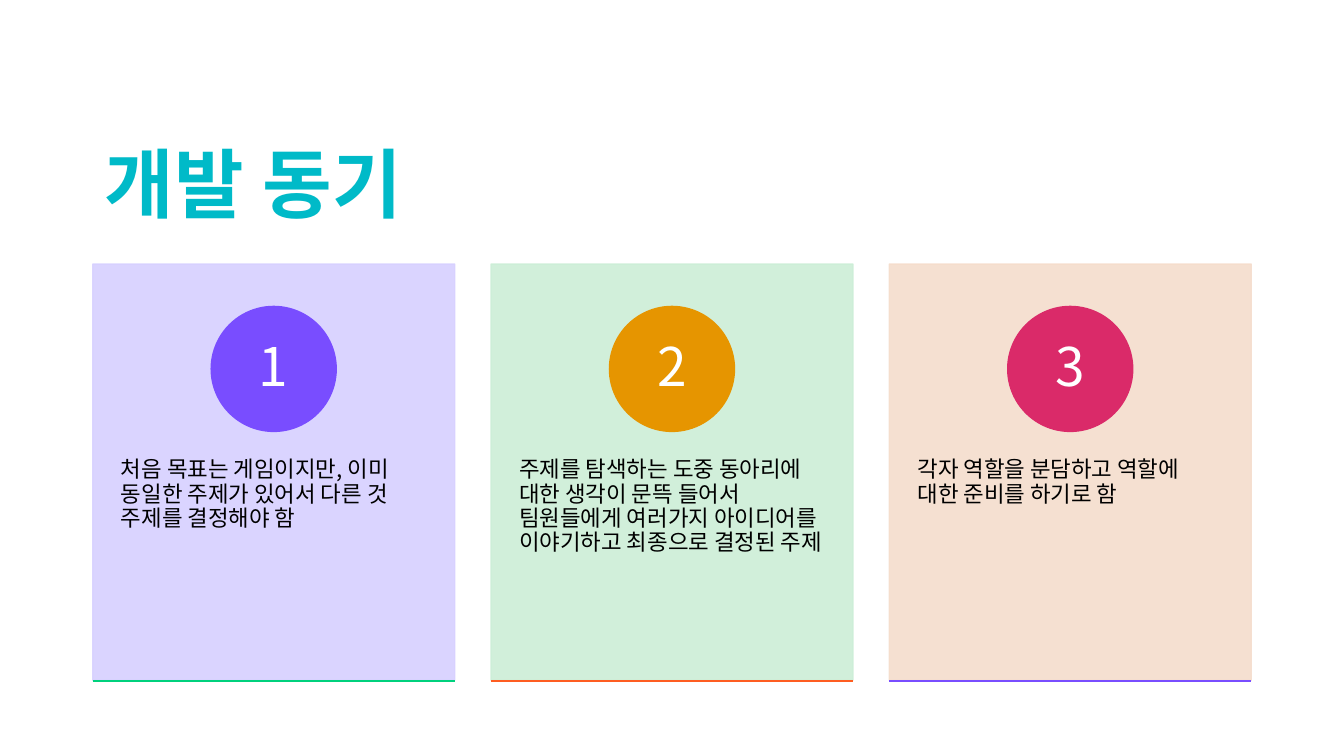
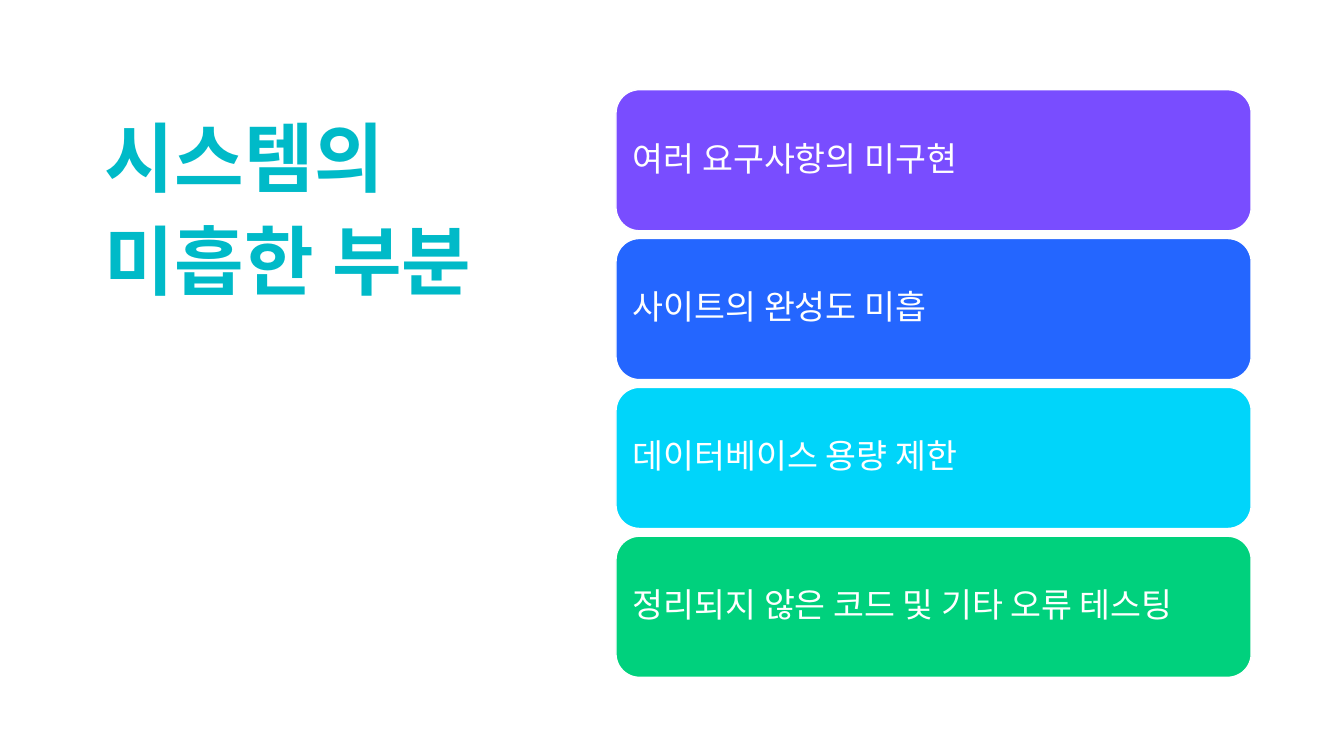
from pptx import Presentation
from pptx.dml.color import RGBColor
from pptx.enum import shapes, text
from pptx.oxml.ns import qn
from pptx.util import Inches, Pt
from lxml import etree

TEAL = RGBColor(0x00, 0xBA, 0xC8)
WHITE = RGBColor(0xFF, 0xFF, 0xFF)
BLACK = RGBColor(0x00, 0x00, 0x00)
PURPLE = RGBColor(0x79, 0x4D, 0xFF)
BLUE = RGBColor(0x24, 0x66, 0xFF)
CYAN = RGBColor(0x00, 0xD5, 0xFA)
GREEN = RGBColor(0x00, 0xD1, 0x7D)
ORANGE = RGBColor(0xFE, 0x5D, 0x21)
AMBER = RGBColor(0xE6, 0x95, 0x00)
PINK = RGBColor(0xDA, 0x2A, 0x69)
LAVENDER = RGBColor(0xD7, 0xD0, 0xFF)
MINT = RGBColor(0xCC, 0xEE, 0xD7)
PEACH = RGBColor(0xF5, 0xDD, 0xCC)

TITLE_FONT = "Calibri"
BODY_FONT = "Noto Sans CJK KR"
LEFT = 0.92

REASONS = [
    ("처음 목표는 게임이지만, 이미 동일한 주제가 있어서 다른 것 주제를 결정해야 함",
     LAVENDER, PURPLE, GREEN),
    ("주제를 탐색하는 도중 동아리에 대한 생각이 문뜩 들어서 팀원들에게 여러가지 "
     "아이디어를 이야기하고 최종으로 결정된 주제", MINT, AMBER, ORANGE),
    ("각자 역할을 분담하고 역할에 대한 준비를 하기로 함", PEACH, PINK, PURPLE),
]
CARD_TOP, CARD_WIDTH, CARD_HEIGHT, CARD_PITCH = 2.62, 3.59, 4.13, 3.95
CIRCLE_TOP, CIRCLE_SIZE = 3.04, 1.24

SHORTCOMINGS = [
    ("여러 요구사항의 미구현", PURPLE),
    ("사이트의 완성도 미흡", BLUE),
    ("데이터베이스 용량 제한", CYAN),
    ("정리되지 않은 코드 및 기타 오류 테스팅", GREEN),
]
BAR_LEFT, BAR_WIDTH, BAR_HEIGHT = 6.11, 6.3, 1.4
BARS_TOP, BARS_BOTTOM = 0.89, 6.72


class Deck:
    """Holds the presentation, its style and the slide being filled."""

    def __init__(self):
        self.deck = Presentation()
        self.deck.slide_width = Inches(13.33)
        self.deck.slide_height = Inches(7.5)
        self.page = None

    def add_page(self, title, top, width, height, anchor):
        self.page = self.deck.slides.add_slide(self.deck.slide_layouts[5])
        box = self.page.shapes.title
        box.left, box.top = Inches(LEFT), Inches(top)
        box.width, box.height = Inches(width), Inches(height)
        para = self.set_text(box, title, 54, TEAL, (0.12, 0.12, 0.12, 0.1),
                             anchor, font=TITLE_FONT, spacing=1.14)
        para.font.bold = True
        para.font._element.set("spc", "30")

    def set_text(self, shape, words, size, color, insets, anchor,
                 align=text.PP_ALIGN.LEFT, font=BODY_FONT, spacing=0.9):
        """Fill a shape with one paragraph; insets run left, top, right, bottom."""
        frame = shape.text_frame
        frame.word_wrap = True
        frame.auto_size = text.MSO_AUTO_SIZE.NONE
        frame.vertical_anchor = anchor
        (frame.margin_left, frame.margin_top,
         frame.margin_right, frame.margin_bottom) = map(Inches, insets)
        para = frame.paragraphs[0]
        para.text = words
        para.alignment = align
        para.line_spacing = spacing
        para.font.size = Pt(size)
        para.font.name = font
        para.font.color.rgb = color
        east_asian = etree.SubElement(para.font._element, qn("a:ea"))
        east_asian.set("typeface", BODY_FONT)
        return para

    def add_block(self, kind, left, top, width, height, fill, line, opacity=100):
        block = self.page.shapes.add_shape(
            kind, Inches(left), Inches(top), Inches(width), Inches(height))
        block.shadow.inherit = False
        block.fill.solid()
        block.fill.fore_color.rgb = fill
        block.line.color.rgb = line
        block.line.width = Pt(1)
        if opacity < 100:
            for color in block.element.spPr.iter(qn("a:srgbClr")):
                etree.SubElement(color, qn("a:alpha")).set("val", str(opacity * 1000))
        return block

    def add_rule(self, left, top, width, color):
        rule = self.page.shapes.add_connector(
            shapes.MSO_CONNECTOR.STRAIGHT, Inches(left), Inches(top),
            Inches(left + width), Inches(top))
        rule.line.color.rgb = color
        rule.line.width = Pt(1.5)
        etree.SubElement(rule.element.spPr, qn("a:effectLst"))

    def add_card(self, number, left, words, fill, accent, rule_color):
        card = self.add_block(shapes.MSO_SHAPE.RECTANGLE, left, CARD_TOP,
                              CARD_WIDTH, CARD_HEIGHT, fill, fill, opacity=90)
        self.set_text(card, words, 16, BLACK, (0.28, 1.93, 0.28, 0.36),
                      text.MSO_ANCHOR.TOP)
        circle = self.add_block(
            shapes.MSO_SHAPE.OVAL, left + (CARD_WIDTH - CIRCLE_SIZE) / 2,
            CIRCLE_TOP, CIRCLE_SIZE, CIRCLE_SIZE, accent, accent)
        self.set_text(circle, str(number), 38, WHITE, (0.1, 0.01, 0.1, 0.01),
                      text.MSO_ANCHOR.MIDDLE, text.PP_ALIGN.CENTER)
        self.add_rule(left, CARD_TOP + CARD_HEIGHT + 0.01, CARD_WIDTH, rule_color)

    def add_bar(self, top, words, fill):
        bar = self.add_block(shapes.MSO_SHAPE.ROUNDED_RECTANGLE, BAR_LEFT, top,
                             BAR_WIDTH, BAR_HEIGHT, fill, WHITE)
        self.set_text(bar, words, 24, WHITE, (0.1, 0.1, 0.1, 0.1),
                      text.MSO_ANCHOR.MIDDLE)


def main():
    deck = Deck()

    deck.add_page("개발 동기", 0.4, 11.5, 1.96, text.MSO_ANCHOR.BOTTOM)
    for index, reason in enumerate(REASONS):
        deck.add_card(index + 1, LEFT + index * CARD_PITCH, *reason)

    deck.add_page("시스템의 미흡한 부분", 0.85, 4.41, 5.9, text.MSO_ANCHOR.TOP)
    pitch = (BARS_BOTTOM - BARS_TOP - BAR_HEIGHT) / (len(SHORTCOMINGS) - 1)
    for index, (words, fill) in enumerate(SHORTCOMINGS):
        deck.add_bar(BARS_TOP + index * pitch, words, fill)

    deck.deck.save("out.pptx")


if __name__ == "__main__":
    main()
